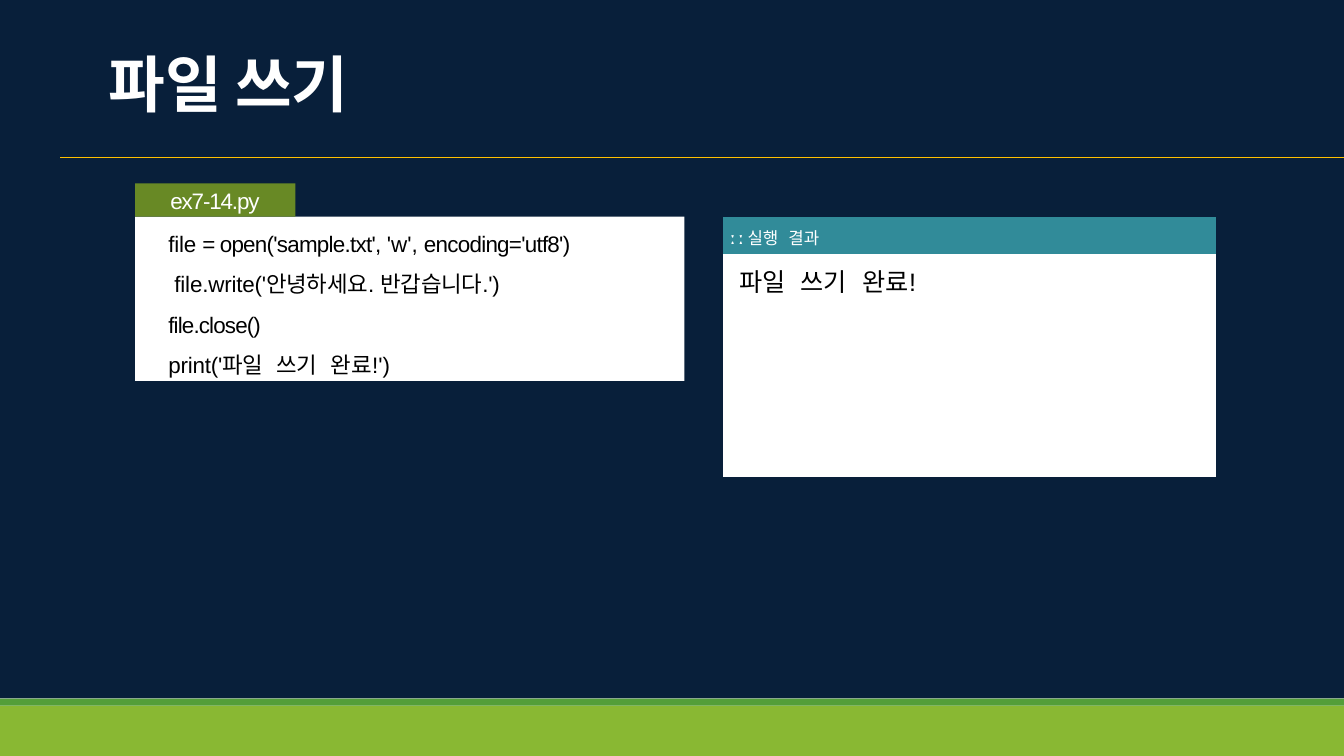
from pptx import Presentation
from pptx.dml.color import RGBColor
from pptx.enum.shapes import MSO_CONNECTOR as Connector, MSO_SHAPE as Shape
from pptx.enum.text import MSO_ANCHOR as Anchor, PP_ALIGN as Align
from pptx.oxml.ns import qn
from pptx.util import Inches, Pt
from lxml.etree import SubElement

NAVY = RGBColor(0x08, 0x1F, 0x3A)
GOLD = RGBColor(0xFF, 0xC0, 0x00)
TEAL = RGBColor(0x31, 0x8B, 0x99)
OLIVE = RGBColor(0x68, 0x89, 0x25)
LIME = RGBColor(0x89, 0xB8, 0x33)
GREEN = RGBColor(0x53, 0x9E, 0x39)
WHITE = RGBColor(0xFF, 0xFF, 0xFF)
BLACK = RGBColor(0x00, 0x00, 0x00)
LATIN, KOREAN, HEADING = "Arial", "DejaVu Sans Mono", "Noto Sans CJK KR"
PLAIN_TABLE = "{2D5ABB26-0587-4C30-8999-92F81FD0307C}"

deck = Presentation()
deck.slide_width, deck.slide_height = Inches(13.33), Inches(7.5)
page = deck.slides.add_slide(deck.slide_layouts[6])
shapes = page.shapes


def share(left, top, width, height):
    """Turn percentages of the slide's size into lengths."""
    across, down = deck.slide_width / 100, deck.slide_height / 100
    return [round(n) for n in (left * across, top * down, width * across, height * down)]


def write(para, text, font=LATIN, size=16, color=BLACK, bold=False, spacing=0):
    """Add a run; spacing between letters is in points."""
    span = para.add_run()
    span.text = text
    span.font.size, span.font.bold = Pt(size), bold
    span.font.color.rgb = color
    span.font.name = font
    props = span.font._element
    props.set("spc", str(round(spacing * 100)))
    SubElement(props, qn("a:ea")).set("typeface", font)


# Background, footer bands, code panel and its file tab
areas = {
    "background": (share(0, 0, 100, 92.4), NAVY),
    "code": (share(10.05, 28.67, 40.88, 21.73), WHITE),
    "tab": (share(10.05, 24.27, 11.93, 4.4), OLIVE),
    "footer": (share(0, 93.33, 100, 6.67), LIME),
    "stripe": (share(0, 92.4, 100, 0.93), GREEN),
}
frames = {}
for name, (place, color) in areas.items():
    box = shapes.add_shape(Shape.RECTANGLE, *place)
    box.shadow.inherit = False
    box.fill.solid()
    box.fill.fore_color.rgb = color
    box.line.fill.background()
    frames[name] = box.text_frame

# Title and the rule below it
frames["title"] = shapes.add_textbox(*share(8.02, 5.87, 21.08, 10)).text_frame
left, top, width, _ = share(4.5, 20.8, 95.5, 0)
rule = shapes.add_connector(Connector.STRAIGHT, left, top, left + width, top)
rule.line.color.rgb = GOLD
rule.line.width = Pt(0.48)
SubElement(rule._element.spPr, qn("a:effectLst"))

for name, anchor, inset_left, inset_top in (
    ("title", Anchor.MIDDLE, 0.01, 0.02),
    ("tab", Anchor.TOP, 0.35, 0.04),
    ("code", Anchor.TOP, 0.33, 0),
):
    frame = frames[name]
    frame.word_wrap = True
    frame.vertical_anchor = anchor
    frame.margin_left, frame.margin_top = Inches(inset_left), Inches(inset_top)
    frame.margin_right = frame.margin_bottom = 0
    frame.paragraphs[0].alignment = Align.LEFT

title = frames["title"].paragraphs[0]
write(title, "파일 ", font=HEADING, size=44, color=WHITE, bold=True, spacing=-0.2)
write(title, "쓰기", font=HEADING, size=44, color=WHITE, bold=True, spacing=-0.5)
write(frames["tab"].paragraphs[0], "ex7-14.py", color=WHITE, spacing=-0.8)

# Code lines: line spacing, space before, then (text, font, letter spacing)
code_lines = [
    (1.5, 0, [("file ", LATIN, -0.1), ("= ", LATIN, -1.4),
              ("open('sample.txt', ", LATIN, -0.5), ("'w', ", LATIN, 0),
              ("encoding='utf8')", LATIN, -0.5)]),
    (1.5, 0, [(" file.write('", LATIN, -0.1), ("안녕하세요", KOREAN, -0.1),
              (". ", LATIN, -0.1), ("반갑습니다", KOREAN, -0.1), (".')", LATIN, -0.1)]),
    (1.5, 0.3, [("file.close()", LATIN, -0.6)]),
    (1, 9.6, [("print('", LATIN, -0.1), ("파일 쓰기 ", KOREAN, -0.1),
              ("완료", KOREAN, 0.1), ("!')", LATIN, 0.1)]),
]
code = frames["code"]
for number, (line_spacing, before, spans) in enumerate(code_lines):
    para = code.add_paragraph() if number else code.paragraphs[0]
    para.alignment = Align.LEFT
    para.line_spacing, para.space_before = line_spacing, Pt(before)
    for text, font, spacing in spans:
        write(para, text, font=font, spacing=spacing)

# Result table: a heading row above the program's output
place = share(53.79, 28.67, 36.68, 34.4)
table_frame = shapes.add_table(2, 1, *place)
table = table_frame.table
table.first_row = table.horz_banding = False
table._tbl.tblPr.find(qn("a:tableStyleId")).text = PLAIN_TABLE
result_rows = [
    (4.93, TEAL, 0.07, 0.12, [
        ("ː ː ", dict(size=12, color=WHITE, bold=True, spacing=-0.7)),
        ("실행 결과", dict(font=KOREAN, size=12, color=WHITE))]),
    (29.47, WHITE, 0.16, 0.14, [
        ("파일 쓰기 ", dict(font=KOREAN, size=18)),
        ("완료", dict(font=KOREAN, size=18, spacing=0.2)),
        ("!", dict(size=18, spacing=0.2))]),
]
for number, (height, color, inset_left, inset_top, spans) in enumerate(result_rows):
    table.rows[number].height = share(0, 0, 0, height)[3]
    cell = table.cell(number, 0)
    cell.fill.solid()
    cell.fill.fore_color.rgb = color
    cell.margin_left, cell.margin_top = Inches(inset_left), Inches(inset_top)
    cell.margin_right = cell.margin_bottom = 0
    for text, style in spans:
        write(cell.text_frame.paragraphs[0], text, **style)

deck.save("out.pptx")
